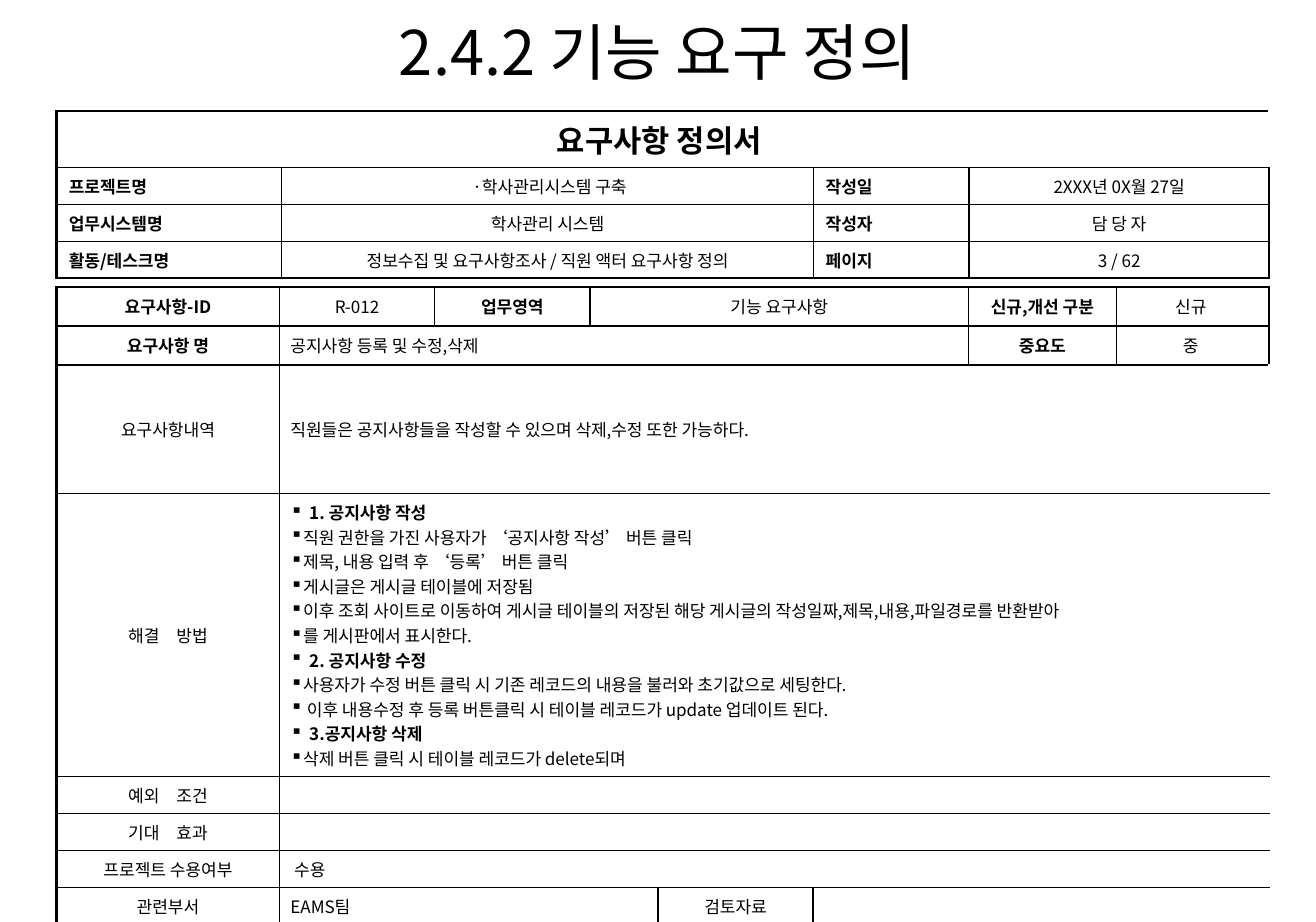
"""Build the functional requirement definition page."""
from dataclasses import dataclass

from lxml import etree
from pptx import Presentation
from pptx.dml.color import RGBColor
from pptx.enum.text import MSO_ANCHOR, PP_ALIGN
from pptx.oxml.ns import qn
from pptx.util import Pt

BLACK = RGBColor(0, 0, 0)
FONT = "Noto Sans CJK KR"
LEFT, CENTER, JUSTIFY = PP_ALIGN.LEFT, PP_ALIGN.CENTER, PP_ALIGN.JUSTIFY
MIDDLE = MSO_ANCHOR.MIDDLE
THIN, THICK = 1, 1.5
TABLE_LEFT = 33.1


@dataclass
class Entry:
    text: str = ""
    span: int = 1
    align: PP_ALIGN = CENTER
    bold: bool = False
    size: float = 10


@dataclass
class Step:
    text: str
    heading: bool = False


@dataclass
class Form:
    top: float
    columns: list[float]
    heights: list[float]
    rows: list[list[Entry]]
    margin: float
    thick_rules: tuple[int, ...]


def label(text: str) -> Entry:
    """Return a bold centred label."""
    return Entry(text, bold=True)


def field(text: str) -> Entry:
    """Return a bold justified field name."""
    return Entry(text, align=JUSTIFY, bold=True)


def wide(text: str = "", span: int = 7) -> Entry:
    """Return a left-aligned value over several columns."""
    return Entry(text, span, LEFT)


HEADER = Form(
    64.8, [132, 311.5, 91.3, 175.8], [31, 18.7, 18.7, 18.7],
    [
        [Entry("요구사항 정의서 ", 4, bold=True, size=18)],
        [field("프로젝트명"), Entry(" ·학사관리시스템 구축"),
         field("작성일"), Entry("2XXX년 0X월 27일")],
        [field("업무시스템명 "), Entry("학사관리 시스템"),
         field("작성자"), Entry("담 당 자")],
        [field("활동/테스크명"), Entry("정보수집 및 요구사항조사 / 직원 액터 요구사항 정의"),
         field("페이지"), Entry("3 / 62")],
    ], 7.2, (0, 4))

DETAIL = Form(
    168, [130.6, 91, 91, 39.8, 91, 91, 86.6, 89.6],
    [22.8, 22.8, 75.6, 102.2] + [18] * 5,
    [
        [label("요구사항-ID"), Entry("R-012"), label("업무영역"),
         Entry("기능 요구사항", 3), label("신규,개선 구분"), Entry("신규 ")],
        [label("요구사항 명"), wide("공지사항 등록 및 수정,삭제", 5),
         label("중요도"), Entry("중 ")],
        [Entry("요구사항내역"),
         wide("직원들은 공지사항들을 작성할 수 있으며 삭제,수정 또한 가능하다.")],
        [Entry("해결　방법"), wide()],
        [Entry("예외　조건"), wide()],
        [Entry("기대　효과"), wide()],
        [Entry("프로젝트 수용여부"), wide(" 수용")],
        [Entry("관련부서"), wide("EAMS팀", 3), Entry("검토자료"), wide(span=3)],
        [Entry("관련프로세스명"), wide("공지사항(등록,수정, 삭제)")],
    ], 6.5, (0, 1, 2, 9))

SOLUTION_ROW = 3
STEPS = [
    Step("1. 공지사항 작성", True),
    Step("직원 권한을 가진 사용자가 ‘공지사항 작성’ 버튼 클릭"),
    Step("제목, 내용 입력 후 ‘등록’ 버튼 클릭"),
    Step("게시글은 게시글 테이블에 저장됨"),
    Step("이후 조회 사이트로 이동하여 게시글 테이블의 저장된 해당 게시글의 "
         "작성일짜,제목,내용,파일경로를 반환받아"),
    Step("를 게시판에서 표시한다."),
    Step("2. 공지사항 수정", True),
    Step("사용자가 수정 버튼 클릭 시 기존 레코드의 내용을 불러와 초기값으로 세팅한다."),
    Step(" 이후 내용수정 후 등록 버튼클릭 시 테이블 레코드가 update 업데이트 된다."),
    Step("3.공지사항 삭제", True),
    Step("삭제 버튼 클릭 시 테이블 레코드가 delete되며"),
]


def write(para, text: str, size: float, bold: bool = False) -> None:
    """Add one formatted span, or size the paragraph if it is empty."""
    if not text:
        etree.SubElement(para._p, qn("a:endParaRPr"), sz=str(int(size * 100)))
        return
    span = para.add_run()
    span.text = text
    for name, value in {"size": Pt(size), "bold": bold, "name": FONT}.items():
        setattr(span.font, name, value)
    span.font.color.rgb = BLACK
    etree.SubElement(span.font._element, qn("a:ea"), typeface=FONT)


def set_borders(cell, widths: dict[str, float]) -> None:
    """Give the named sides of a cell solid black lines."""
    properties = cell._tc.get_or_add_tcPr()
    for index, (side, width) in enumerate(widths.items()):
        line = etree.Element(qn(f"a:ln{side}"), w=str(Pt(width)))
        fill = etree.SubElement(line, qn("a:solidFill"))
        etree.SubElement(fill, qn("a:srgbClr"), val=str(BLACK))
        properties.insert(index, line)


def draw_entry(table, form: Form, row: int, start: int, entry: Entry) -> None:
    """Fill, border and merge the cells of one entry."""
    end = start + entry.span - 1
    for column in range(start, end + 1):
        cell = table.cell(row, column)
        cell.fill.background()
        formats = {"margin_left": Pt(form.margin), "margin_right": Pt(form.margin),
                   "margin_top": Pt(3.6), "margin_bottom": Pt(3.6),
                   "vertical_anchor": MIDDLE}
        for name, value in formats.items():
            setattr(cell, name, value)
        widths = {}
        if column == start:
            widths["L"] = THICK if start == 0 else THIN
        if column == end:
            widths["R"] = THICK if end == len(form.columns) - 1 else THIN
        widths["T"] = THICK if row in form.thick_rules else THIN
        widths["B"] = THICK if row + 1 in form.thick_rules else THIN
        set_borders(cell, widths)
    origin = table.cell(row, start)
    if entry.span > 1:
        origin.merge(table.cell(row, end))
    para = origin.text_frame.paragraphs[0]
    para.alignment = entry.align
    if form is not DETAIL or row != SOLUTION_ROW or start == 0:
        write(para, entry.text, entry.size, entry.bold)


def draw_form(page, form: Form):
    """Draw a bordered form and return its table."""
    table = page.shapes.add_table(
        len(form.heights), len(form.columns), Pt(TABLE_LEFT), Pt(form.top),
        Pt(sum(form.columns)), Pt(sum(form.heights))).table
    table.first_row = table.horz_banding = False
    for column, width in zip(table.columns, form.columns):
        column.width = Pt(width)
    for line, height in zip(table.rows, form.heights):
        line.height = Pt(height)
    for row, entries in enumerate(form.rows):
        start = 0
        for entry in entries:
            draw_entry(table, form, row, start, entry)
            start += entry.span
    return table


def write_steps(cell, steps: list[Step]) -> None:
    """Write the solution steps as a bulleted list."""
    for index, step in enumerate(steps):
        frame = cell.text_frame
        para = frame.add_paragraph() if index else frame.paragraphs[0]
        properties = para._p.get_or_add_pPr()
        indent = Pt(11) if step.heading else 0
        properties.set("marL", str(indent))
        properties.set("indent", str(-indent))
        etree.SubElement(properties, qn("a:buChar"), char="▪")
        write(para, step.text, 10, step.heading)


def main() -> None:
    """Build and save the deck."""
    deck = Presentation()
    deck.slide_width, deck.slide_height = Pt(771.1), Pt(540)
    page = deck.slides.add_slide(deck.slide_layouts[6])
    draw_form(page, HEADER)
    detail = draw_form(page, DETAIL)
    write_steps(detail.cell(SOLUTION_ROW, 1), STEPS)
    box = page.shapes.add_textbox(Pt(128.9), Pt(5), Pt(512.6), Pt(103.7))
    box.text_frame.word_wrap = True
    para = box.text_frame.paragraphs[0]
    para.alignment = CENTER
    write(para, "2.4.2 기능 요구 정의", 36)
    deck.save("out.pptx")


if __name__ == "__main__":
    main()
